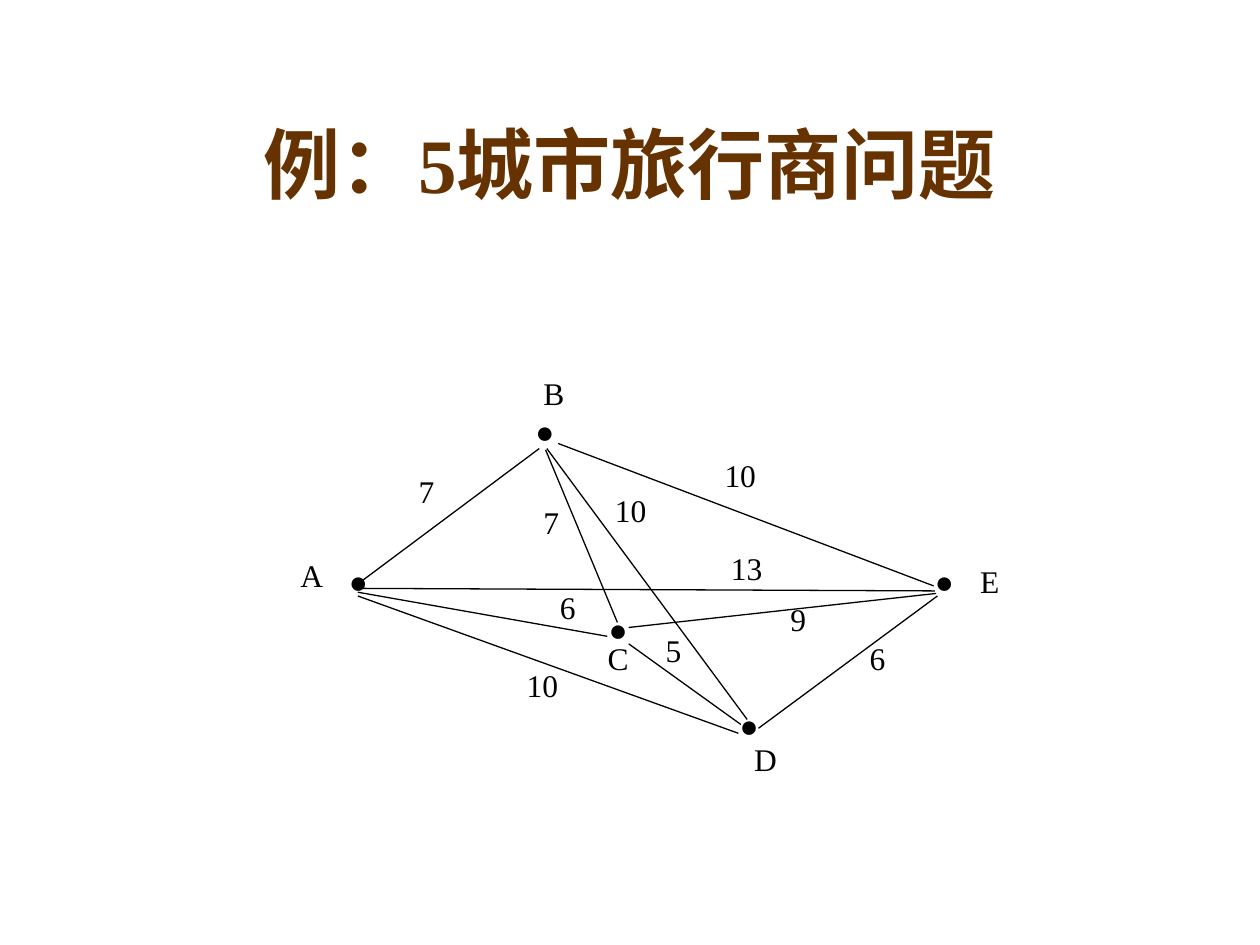
from pptx import Presentation
from pptx.dml.color import RGBColor
from pptx.enum.shapes import MSO_CONNECTOR
from pptx.enum.text import MSO_ANCHOR, PP_ALIGN
from pptx.oxml.ns import qn
from pptx.util import Inches, Pt
from lxml import etree

BROWN = RGBColor(0x66, 0x33, 0x00)
BLACK = RGBColor(0, 0, 0)
FONT = "Times New Roman"
BOX_W, BOX_H = Inches(0.79), Inches(0.51)

prs = Presentation()
prs.slide_width, prs.slide_height = Inches(10), Inches(7.5)
s = prs.slides.add_slide(prs.slide_layouts[5])


def format_text(tf, size, color, bold=False):
    p = tf.paragraphs[0]
    p.alignment = PP_ALIGN.CENTER
    font = p.runs[0].font
    font.name, font.size, font.bold = FONT, Pt(size), bold
    font.color.rgb = color


def add_label(text, left, top):
    tb = s.shapes.add_textbox(Inches(left), Inches(top), BOX_W, BOX_H)
    tf = tb.text_frame
    tf.word_wrap = True
    tf.text = text
    format_text(tf, 18, BLACK)


# Title
title = s.shapes.title
title.left, title.top = Inches(0.75), Inches(0.67)
title.width, title.height = Inches(8.5), Inches(1.25)
title.text_frame.text = "例：5城市旅行商问题"
title.text_frame.vertical_anchor = MSO_ANCHOR.MIDDLE
format_text(title.text_frame, 44, BROWN, bold=True)

# Roads: distance, its label position, start and end of the line
roads = [
    ("7", (2.99, 3.70), (4.28, 3.56), (2.86, 4.62)),   # A-B
    ("6", (6.57, 5.02), (7.44, 4.73), (6.02, 5.78)),   # D-E
    ("10", (5.48, 3.57), (4.43, 3.52), (7.41, 4.65)),  # B-E
    ("10", (3.91, 5.24), (2.84, 4.73), (5.86, 5.82)),  # A-D
    ("13", (5.53, 4.31), (2.88, 4.67), (7.42, 4.69)),  # A-E
    ("10", (4.61, 3.85), (4.34, 3.56), (5.93, 5.71)),  # B-D
    ("7", (3.98, 3.94), (4.33, 3.57), (4.90, 4.94)),   # B-C
    ("6", (4.11, 4.62), (2.84, 4.70), (4.82, 5.05)),   # A-C
    ("5", (4.95, 4.96), (5.88, 5.75), (4.99, 5.11)),   # C-D
    ("9", (5.94, 4.71), (7.43, 4.71), (4.99, 4.98)),   # C-E
]
for distance, label_at, start, end in roads:
    road = s.shapes.add_connector(
        MSO_CONNECTOR.STRAIGHT, *[Inches(v) for v in start + end])
    road.line.color.rgb = BLACK
    road.line.width = Pt(0.75)
    etree.SubElement(road._element.spPr, qn("a:effectLst"))
    add_label(distance, *label_at)

# Cities: name, dot position, name position
cities = [
    ("A", (2.45, 4.41), (2.08, 4.36)),
    ("B", (3.93, 3.22), (4.00, 2.92)),
    ("C", (4.51, 4.79), (4.51, 5.02)),
    ("D", (5.55, 5.55), (5.68, 5.82)),
    ("E", (7.10, 4.41), (7.46, 4.41)),
]
for name, dot_at, name_at in cities:
    add_label("●", *dot_at)
    add_label(name, *name_at)

prs.save("out.pptx")
